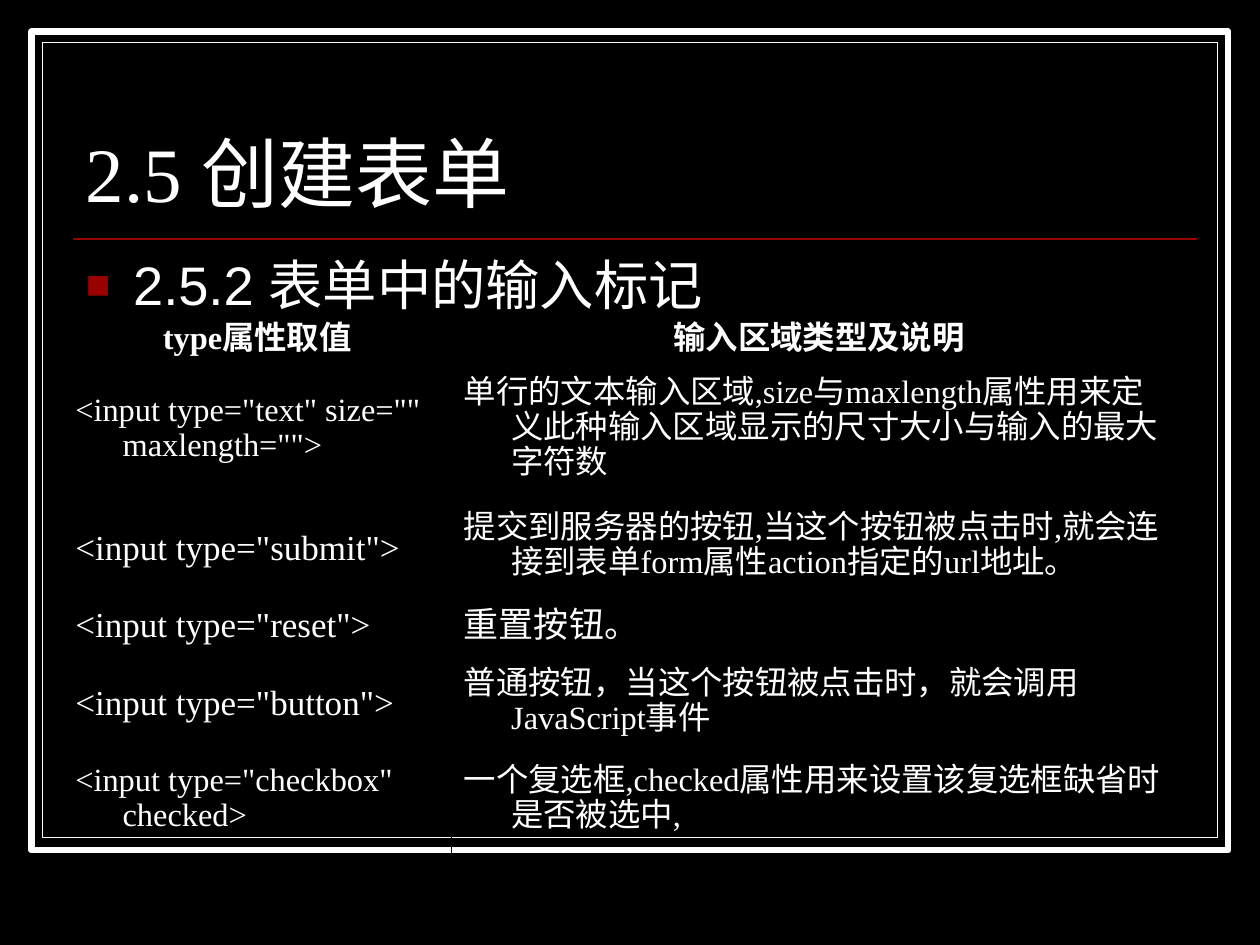
from lxml import etree
from pptx import Presentation
from pptx.dml.color import RGBColor
from pptx.enum import shapes, text
from pptx.oxml import ns
from pptx.util import Pt

WHITE, BLACK, RED = "FFFFFF", "000000", "990000"


def color(code):
    return RGBColor.from_string(code)


def add(node, tag, **attrs):
    return etree.SubElement(node, ns.qn(tag), attrs)


class Deck:
    serif = "Times New Roman"
    sans = "Arial"
    hang = 27

    def __init__(self, wide, high):
        self.prs = Presentation()
        self.prs.slide_width, self.prs.slide_height = Pt(wide), Pt(high)
        self.slide = self.prs.slides.add_slide(self.prs.slide_layouts[6])
        fill = self.slide.background.fill
        fill.solid()
        fill.fore_color.rgb = color(BLACK)

    def frame(self, left, top, wide, high, weight):
        box = self.slide.shapes.add_shape(
            shapes.MSO_SHAPE.RECTANGLE, Pt(left), Pt(top), Pt(wide), Pt(high))
        box.shadow.inherit = False
        box.fill.solid()
        box.fill.fore_color.rgb = color(BLACK)
        box.line.color.rgb = color(WHITE)
        box.line.width = Pt(weight)

    def rule(self, x1, y1, x2, y2, code):
        line = self.slide.shapes.add_connector(
            shapes.MSO_CONNECTOR.STRAIGHT, Pt(x1), Pt(y1), Pt(x2), Pt(y2))
        line.line.color.rgb = color(code)
        line.line.width = Pt(1)
        add(line._element.spPr, "a:effectLst")

    def words(self, label, left, top, wide, high, size, font=serif,
              anchor=text.MSO_ANCHOR.MIDDLE, space=0.9):
        box = self.slide.shapes.add_textbox(
            Pt(left), Pt(top), Pt(wide), Pt(high))
        body = box.text_frame
        body.word_wrap = True
        body.vertical_anchor = anchor
        para = body.paragraphs[0]
        para.text = label
        para.line_spacing = space
        para.font.size = Pt(size)
        para.font.name = font
        para.font.color.rgb = color(WHITE)
        return para

    def indent(self, para):
        props = para._p.get_or_add_pPr()
        props.set("marL", str(Pt(self.hang)))
        props.set("indent", str(-Pt(self.hang)))
        return props

    def bullet(self, para):
        para.space_before = Pt(7.7)
        props = self.indent(para)
        marks = [add(props, "a:buClr"),
                 add(props, "a:buSzPct", val="75000"),
                 add(props, "a:buFont", typeface=self.sans),
                 add(props, "a:buChar", char="■")]
        add(marks[0], "a:srgbClr", val=RED)
        # Bullet marks must come before the default run style
        style = props.find(ns.qn("a:defRPr"))
        if style is not None:
            props.append(style)

    def cell(self, label, left, top, wide, high, size, head=False):
        para = self.words(label, left, top, wide, high, size,
                          space=1.0 if size == 20 else 0.9)
        self.indent(para)
        if head:
            para.alignment = text.PP_ALIGN.CENTER
            para.font.bold = True


def main():
    deck = Deck(720, 540)

    # Double frame and title rule
    deck.frame(18, 18, 684, 468, 3.5)
    deck.frame(24.25, 24.25, 671.5, 454.5, 0.75)
    deck.rule(42, 136.5, 684, 136.5, RED)

    # Title and subtitle
    deck.words("2.5 创建表单", 42, 37.5, 642, 90, 44,
               anchor=text.MSO_ANCHOR.BOTTOM, space=0.8)
    deck.bullet(deck.words("2.5.2 表单中的输入标记", 42, 144, 642, 42, 31,
                           font=deck.sans, anchor=text.MSO_ANCHOR.TOP))

    # Grid: height, then text and size for each column
    left, split, right = 36, 258, 678
    cols = [(left, split - left), (split, right - split)]
    heads = ["type属性取值", "输入区域类型及说明"]
    rows = [
        (79.2, ('<input type="text" size="" maxlength="">', 18.5),
         ("单行的文本输入区域,size与maxlength属性用来定义此种输入区域显示的尺寸大小与输入的最大字符数", 18.5)),
        (55.2, ('<input type="submit">', 20),
         ("提交到服务器的按钮,当这个按钮被点击时,就会连接到表单form属性action指定的url地址。", 18.5)),
        (33.7, ('<input type="reset">', 20), ("重置按钮。", 20)),
        (55.2, ('<input type="button">', 20),
         ("普通按钮，当这个按钮被点击时，就会调用JavaScript事件", 18.5)),
        (55.2, ('<input type="checkbox" checked>', 18.5),
         ("一个复选框,checked属性用来设置该复选框缺省时是否被选中,", 18.5)),
    ]
    for (x, wide), label in zip(cols, heads):
        deck.cell(label, x, 178.5, wide, 31, 18.5, head=True)
    top = 205.2
    for high, *cells in rows:
        for (x, wide), (label, size) in zip(cols, cells):
            deck.cell(label, x, top, wide, high, size)
        top += high

    # Grid lines
    deck.rule(split, 174, split, 540, BLACK)
    deck.rule(left, 373.3, right, 373.3, BLACK)

    deck.prs.save("out.pptx")


if __name__ == "__main__":
    main()
